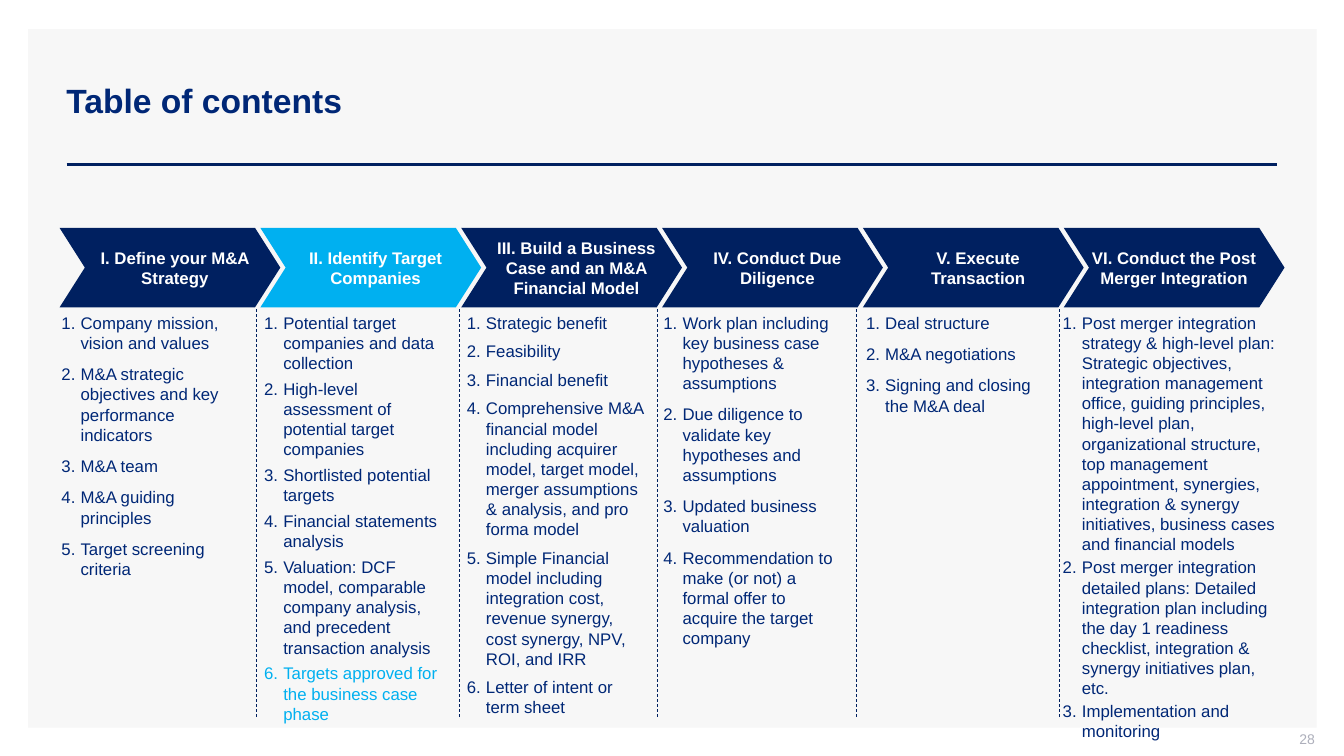
from dataclasses import dataclass

from lxml import etree
from pptx import Presentation
from pptx.dml.color import RGBColor
from pptx.enum.dml import MSO_LINE
from pptx.enum.shapes import MSO_CONNECTOR, MSO_SHAPE
from pptx.enum.text import MSO_ANCHOR, MSO_AUTO_SIZE, PP_ALIGN
from pptx.oxml.ns import qn
from pptx.util import Inches, Pt

STRAIGHT = MSO_CONNECTOR.STRAIGHT
RECTANGLE = MSO_SHAPE.RECTANGLE
CHEVRON = MSO_SHAPE.CHEVRON
DASH = MSO_LINE.DASH
TOP = MSO_ANCHOR.TOP
MIDDLE = MSO_ANCHOR.MIDDLE
FIT_SHAPE = MSO_AUTO_SIZE.SHAPE_TO_FIT_TEXT
LEFT = PP_ALIGN.LEFT
CENTER = PP_ALIGN.CENTER
RIGHT = PP_ALIGN.RIGHT

WHITE = RGBColor(0xFF, 0xFF, 0xFF)
PANEL_GRAY = RGBColor(0xF7, 0xF7, 0xF7)
NUMBER_GRAY = RGBColor(0xAD, 0xAF, 0xBB)
NAVY = RGBColor(0x00, 0x20, 0x60)
TEXT_BLUE = RGBColor(0x00, 0x27, 0x76)
HIGHLIGHT = RGBColor(0x00, 0xB0, 0xF0)

TITLE_FONT = {"name": "Arial", "size": Pt(24), "bold": True}
NUMBER_FONT = {"name": "Arial", "size": Pt(10)}
PHASE_FONT = {"name": "Arial", "size": Pt(12), "bold": True}
ITEM_FONT = {"name": "Arial", "size": Pt(12)}

PHASE_LEFT = 0.59
PHASE_STEP = 1.992
DIVIDERS = (2.54, 4.56, 6.52, 8.49, 10.51)


@dataclass
class Phase:
    heading: str
    list_left: float
    list_height: float
    spacing: int
    items: tuple
    list_width: float = 1.87
    text_inset: float = 0.1
    color: RGBColor = NAVY
    last_item_color: RGBColor = TEXT_BLUE


PHASES = (
    Phase("I. Define your M&A Strategy", 0.61, 3.09, 4, (
        "Company mission, vision and values",
        "M&A strategic objectives and key performance indicators",
        "M&A team",
        "M&A guiding principles",
        "Target screening criteria",
    )),
    Phase("II. Identify Target Companies", 2.62, 4.22, 2, (
        "Potential target companies and data collection",
        "High-level assessment of potential target companies",
        "Shortlisted potential targets",
        "Financial statements analysis",
        "Valuation: DCF model, comparable company analysis, "
        "and precedent transaction analysis",
        "Targets approved for the business case phase",
    ), color=HIGHLIGHT, last_item_color=HIGHLIGHT),
    Phase("III. Build a Business Case and an M&A Financial Model", 4.63, 4.3, 3, (
        "Strategic benefit",
        "Feasibility",
        "Financial benefit",
        "Comprehensive M&A financial model including acquirer model, target "
        "model, merger assumptions & analysis, and pro forma model",
        "Simple Financial model including integration cost, revenue synergy, "
        "cost synergy, NPV, ROI, and IRR",
        "Letter of intent or term sheet",
    )),
    Phase("IV. Conduct Due Diligence", 6.58, 3.47, 4, (
        "Work plan including key business case hypotheses & assumptions",
        "Due diligence to validate key hypotheses and assumptions",
        "Updated business valuation",
        "Recommendation to make (or not) a formal offer to acquire the "
        "target company",
    )),
    Phase("V. Execute Transaction", 8.59, 1.13, 4, (
        "Deal structure",
        "M&A negotiations",
        "Signing and closing the M&A deal",
    )),
    Phase("VI. Conduct the Post Merger Integration", 10.54, 4.2, 1, (
        "Post merger integration strategy & high-level plan: Strategic "
        "objectives, integration management office, guiding principles, "
        "high-level plan, organizational structure, top management "
        "appointment, synergies, integration & synergy initiatives, business "
        "cases and financial models",
        "Post merger integration detailed plans: Detailed integration plan "
        "including the day 1 readiness checklist, integration & synergy "
        "initiatives plan, etc.",
        "Implementation and monitoring",
    ), list_width=2.32, text_inset=0),
)


def set_attributes(target, values):
    for name, value in values.items():
        setattr(target, name, value)


def set_frame(frame, anchor, insets):
    left, top, right, bottom = (Inches(inset) for inset in insets)
    set_attributes(frame, {
        "word_wrap": True, "vertical_anchor": anchor,
        "margin_left": left, "margin_top": top,
        "margin_right": right, "margin_bottom": bottom,
    })


def write_paragraph(paragraph, text, font, color, alignment=LEFT):
    paragraph.text = text
    paragraph.alignment = alignment
    set_attributes(paragraph.font, font)
    paragraph.font.color.rgb = color


def add_text(slide, box, text, font, color, alignment, insets):
    frame = slide.shapes.add_textbox(*map(Inches, box)).text_frame
    set_frame(frame, MIDDLE, insets)
    write_paragraph(frame.paragraphs[0], text, font, color, alignment)


def add_filled_shape(slide, kind, box, color):
    shape = slide.shapes.add_shape(kind, *map(Inches, box))
    shape.shadow.inherit = False
    shape.fill.solid()
    shape.fill.fore_color.rgb = color
    shape.line.fill.background()
    return shape


def add_line(slide, start, end, width, dash=None):
    line = slide.shapes.add_connector(STRAIGHT, *map(Inches, start + end))
    line.line.color.rgb = NAVY
    line.line.width = Pt(width)
    line.line.dash_style = dash
    etree.SubElement(line._element.spPr, qn("a:effectLst"))


def add_phase_heading(slide, phase, left):
    chevron = add_filled_shape(slide, CHEVRON, (left, 2.26, 2.19, 0.79), phase.color)
    chevron.adjustments[0] = 0.318
    set_frame(chevron.text_frame, MIDDLE, (phase.text_inset, 0.05, 0, 0.05))
    write_paragraph(chevron.text_frame.paragraphs[0], phase.heading,
                    PHASE_FONT, WHITE, CENTER)


def number_paragraph(paragraph):
    properties = paragraph._p.get_or_add_pPr()
    properties.set("marL", str(Inches(0.19)))
    properties.set("indent", str(Inches(-0.19)))
    etree.SubElement(properties, qn("a:buFont"), typeface="+mj-lt")
    etree.SubElement(properties, qn("a:buAutoNum"), type="arabicPeriod")


def add_phase_list(slide, phase):
    box = (phase.list_left, 3.05, phase.list_width, phase.list_height)
    frame = slide.shapes.add_textbox(*map(Inches, box)).text_frame
    set_frame(frame, TOP, (0, 0.05, 0.1, 0.05))
    frame.auto_size = FIT_SHAPE
    for index, item in enumerate(phase.items):
        paragraph = frame.add_paragraph() if index else frame.paragraphs[0]
        number_paragraph(paragraph)
        is_last = index == len(phase.items) - 1
        color = phase.last_item_color if is_last else TEXT_BLUE
        write_paragraph(paragraph, item, ITEM_FONT, color)
        paragraph.space_before = Pt(phase.spacing if index else 0)
        paragraph.space_after = Pt(phase.spacing)


def main():
    presentation = Presentation()
    presentation.slide_width = Inches(13.33)
    presentation.slide_height = Inches(7.5)
    slide = presentation.slides.add_slide(presentation.slide_layouts[6])

    add_filled_shape(slide, RECTANGLE, (0.28, 0.29, 12.78, 6.93), PANEL_GRAY)
    add_line(slide, (0.66, 1.63), (12.67, 1.63), 2)
    add_text(slide, (0.56, 0.4, 11.45, 1.19), "Table of contents",
             TITLE_FONT, TEXT_BLUE, LEFT, (0.1, 0.05, 0.1, 0.05))
    add_text(slide, (10.04, 7.25, 3, 0.21), "28",
             NUMBER_FONT, NUMBER_GRAY, RIGHT, (0.1, 0, 0, 0.05))
    for index, phase in enumerate(PHASES):
        add_phase_heading(slide, phase, PHASE_LEFT + index * PHASE_STEP)
    for left in DIVIDERS:
        add_line(slide, (left, 3.07), (left, 7.13), 0.5, DASH)
    for phase in PHASES:
        add_phase_list(slide, phase)
    presentation.save("out.pptx")


if __name__ == "__main__":
    main()
